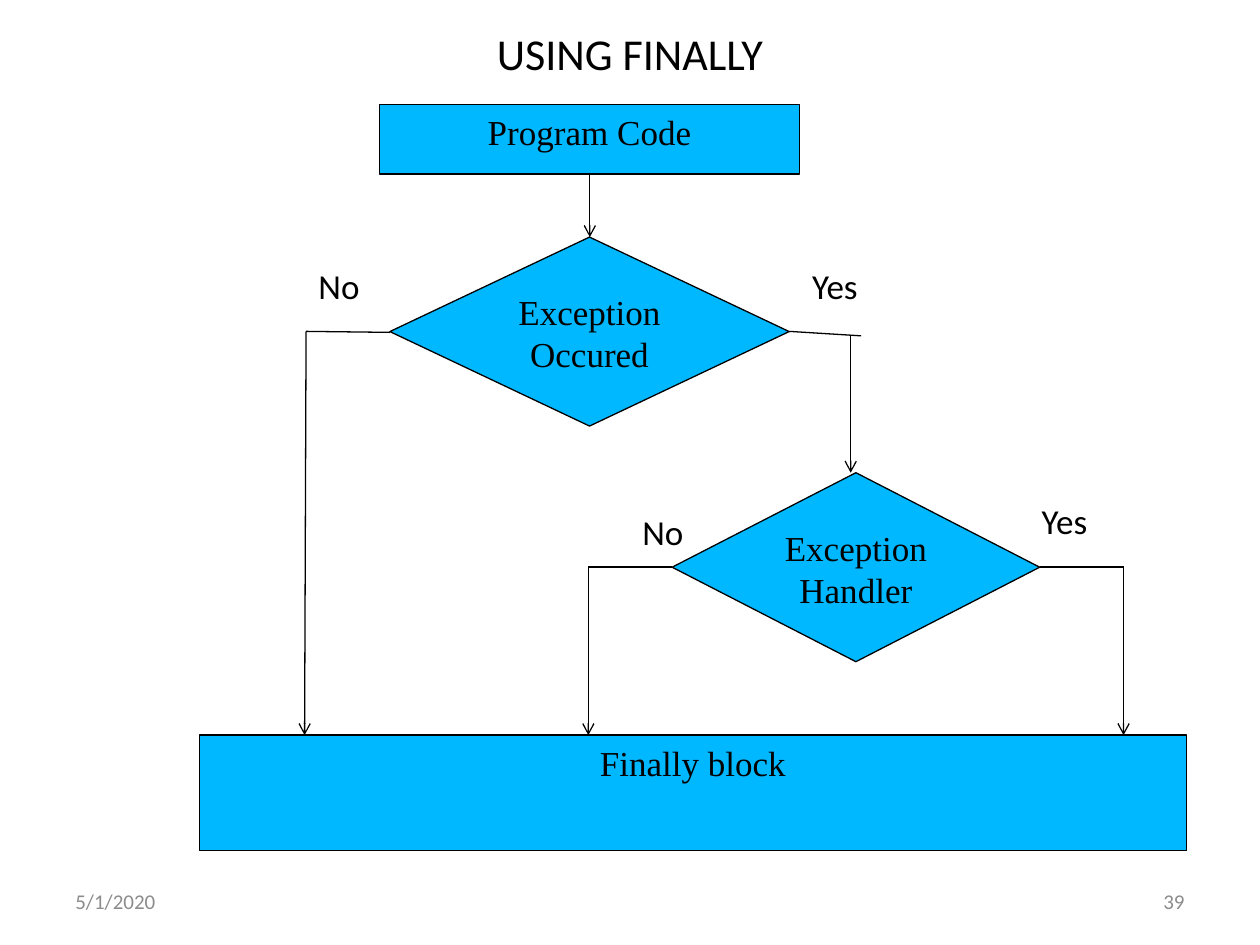
import pptx
import pptx.util
import pptx.dml.color
import pptx.enum.shapes
import pptx.enum.text
import pptx.oxml.ns
import lxml.etree

Cm = pptx.util.Cm
Pt = pptx.util.Pt
SHAPE = pptx.enum.shapes.MSO_SHAPE
ALIGN = pptx.enum.text.PP_ALIGN
ANCHOR = pptx.enum.text.MSO_ANCHOR
COLORS = {"box": "00B8FF", "ink": "000000", "footer": "8C8C8C"}


class FlowSlide:
    body_font = "Calibri"
    box_font = "Times New Roman"
    line_width = 0.75

    def __init__(self, prs):
        self.s = prs.slides.add_slide(prs.slide_layouts[5])

    def color(self, name):
        return pptx.dml.color.RGBColor.from_string(COLORS[name])

    def set_text(self, sp, text, size, font, align, anchor, color="ink"):
        tf = sp.text_frame
        tf.word_wrap = True
        tf.vertical_anchor = anchor
        tf.text = text
        p = tf.paragraphs[0]
        p.alignment = align
        r = p.runs[0]
        r.font.size = Pt(size)
        r.font.name = font
        r.font.color.rgb = self.color(color)

    def title(self, text, x, y, w, h):
        sp = self.s.shapes.title
        sp.left, sp.top, sp.width, sp.height = Cm(x), Cm(y), Cm(w), Cm(h)
        self.set_text(sp, text, 25.2, self.body_font, ALIGN.CENTER, ANCHOR.MIDDLE)
        sp.text_frame.auto_size = pptx.enum.text.MSO_AUTO_SIZE.NONE

    def box(self, kind, text, x, y, w, h):
        sp = self.s.shapes.add_shape(kind, Cm(x), Cm(y), Cm(w), Cm(h))
        sp.shadow.inherit = False
        sp.fill.solid()
        sp.fill.fore_color.rgb = self.color("box")
        sp.line.color.rgb = self.color("ink")
        sp.line.width = Pt(self.line_width)
        self.set_text(sp, text, 20, self.box_font, ALIGN.CENTER, ANCHOR.TOP)

    def label(self, text, x, y, w, h=1.12, size=20, align=ALIGN.LEFT,
              anchor=ANCHOR.TOP, color="ink"):
        sp = self.s.shapes.add_textbox(Cm(x), Cm(y), Cm(w), Cm(h))
        self.set_text(sp, text, size, self.body_font, align, anchor, color)

    def line(self, start, end, arrow=False):
        sp = self.s.shapes.add_connector(
            pptx.enum.shapes.MSO_CONNECTOR.STRAIGHT,
            Cm(start[0]), Cm(start[1]), Cm(end[0]), Cm(end[1]))
        sp.line.color.rgb = self.color("ink")
        sp.line.width = Pt(self.line_width)
        qn = pptx.oxml.ns.qn
        props = sp.element.spPr
        if arrow:
            lxml.etree.SubElement(props.find(qn("a:ln")), qn("a:tailEnd"), type="arrow")
        lxml.etree.SubElement(props, qn("a:effectLst"))


def main():
    prs = pptx.Presentation()
    prs.slide_width, prs.slide_height = Cm(25.4), Cm(19.05)
    s = FlowSlide(prs)
    s.title("USING FINALLY", 1.27, 0.43, 22.86, 1.27)

    for kind, text, x, y, w, h in [
        (SHAPE.FLOWCHART_DECISION, "Exception Occured", 7.86, 4.78, 8.05, 3.81),
        (SHAPE.FLOWCHART_PROCESS, "Program Code", 7.65, 2.11, 8.47, 1.4),
        (SHAPE.FLOWCHART_DECISION, "Exception Handler", 13.55, 9.53, 7.41, 3.81),
        (SHAPE.FLOWCHART_PROCESS, "Finally block", 4.02, 14.82, 19.9, 2.33),
    ]:
        s.box(kind, text, x, y, w, h)

    s.line((11.89, 3.51), (11.89, 4.78), arrow=True)
    for start, corner, turn, end in [
        ((7.86, 6.7), (6.17, 6.68), (6.17, 6.68), (6.14, 14.82)),
        ((15.91, 6.68), (17.36, 6.77), (17.15, 6.77), (17.15, 9.53)),
        ((13.55, 11.43), (11.86, 11.43), (11.86, 11.43), (11.86, 14.82)),
        ((20.96, 11.43), (22.65, 11.43), (22.65, 11.43), (22.65, 14.82)),
    ]:
        s.line(start, corner)
        s.line(turn, end, arrow=True)

    for text, x, y, w in [
        ("No", 6.17, 5.2, 1.7),
        ("Yes", 16.12, 5.2, 2.54),
        ("No", 12.7, 10.16, 1.7),
        ("Yes", 20.75, 9.95, 2.54),
    ]:
        s.label(text, x, y, w)

    for text, x, align in [("5/1/2020", 1.27, ALIGN.LEFT), ("39", 18.2, ALIGN.RIGHT)]:
        s.label(text, x, 17.66, 5.93, 1.01, 12, align, ANCHOR.MIDDLE, "footer")

    prs.save("out.pptx")


if __name__ == "__main__":
    main()
